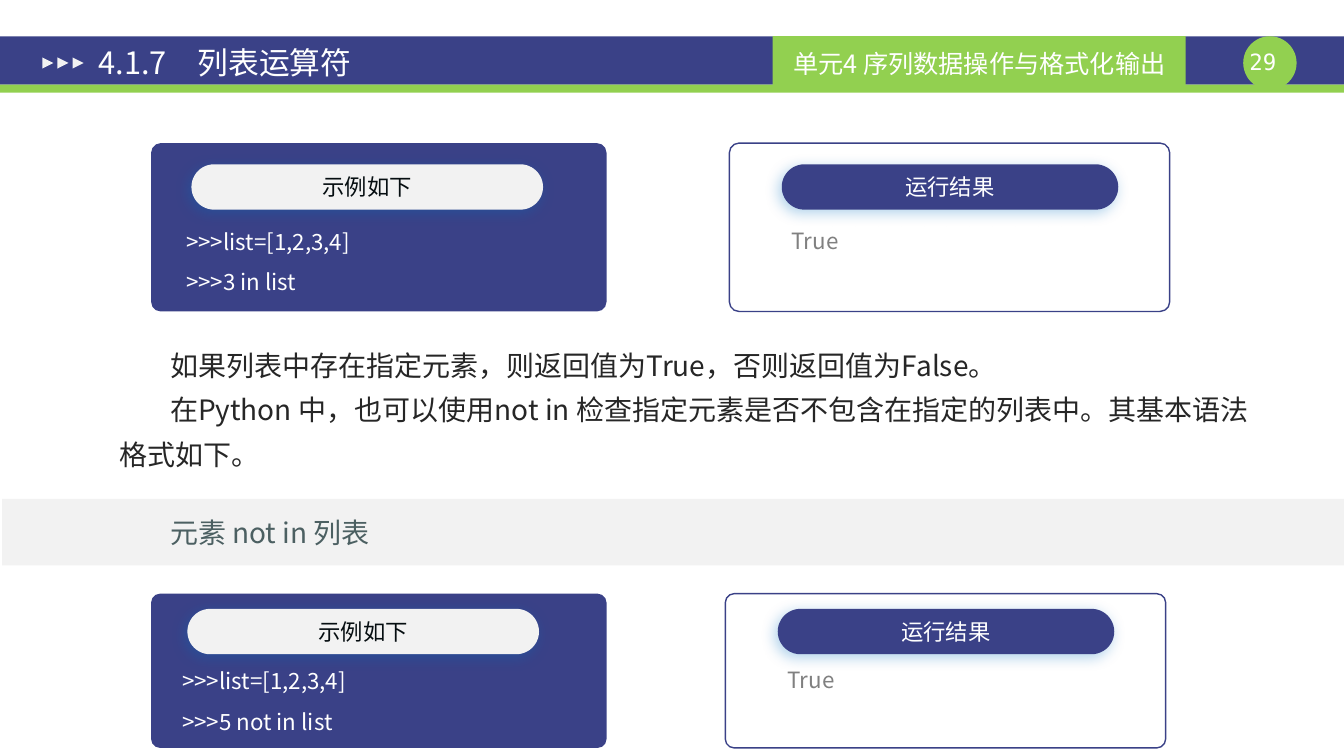
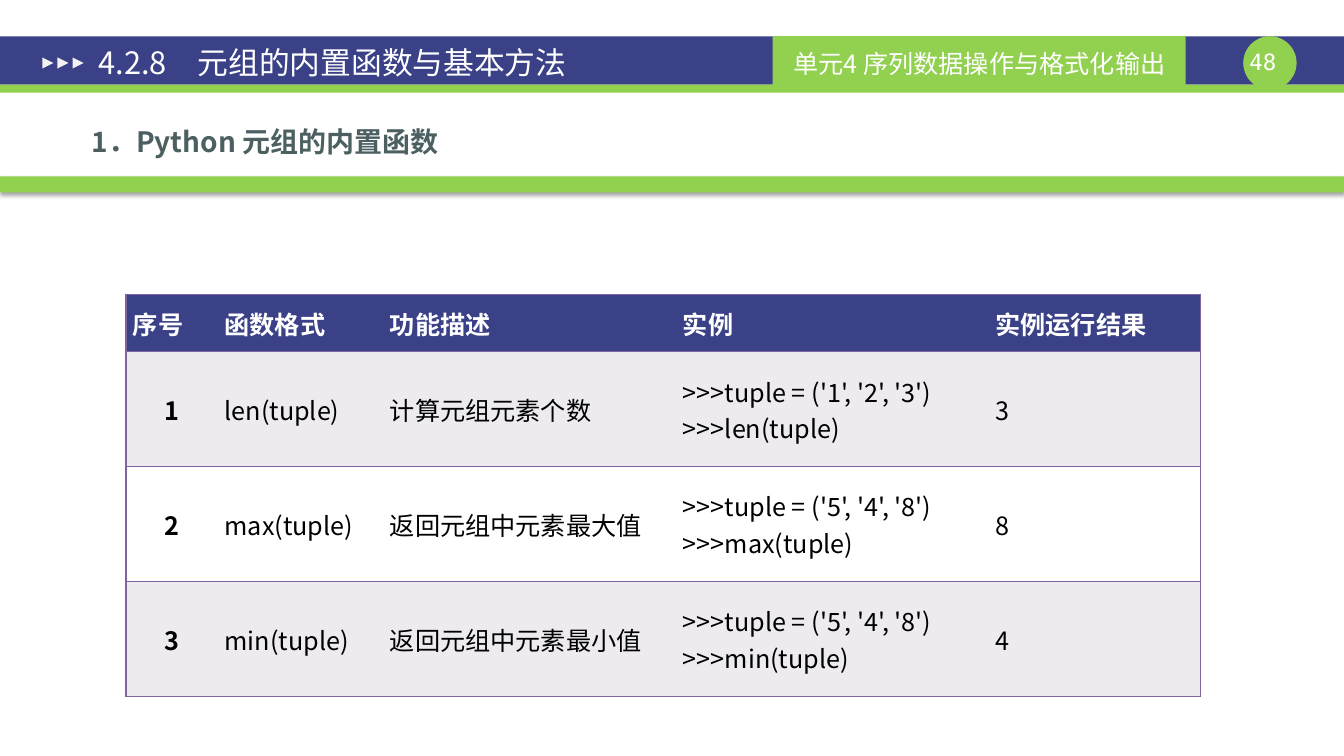
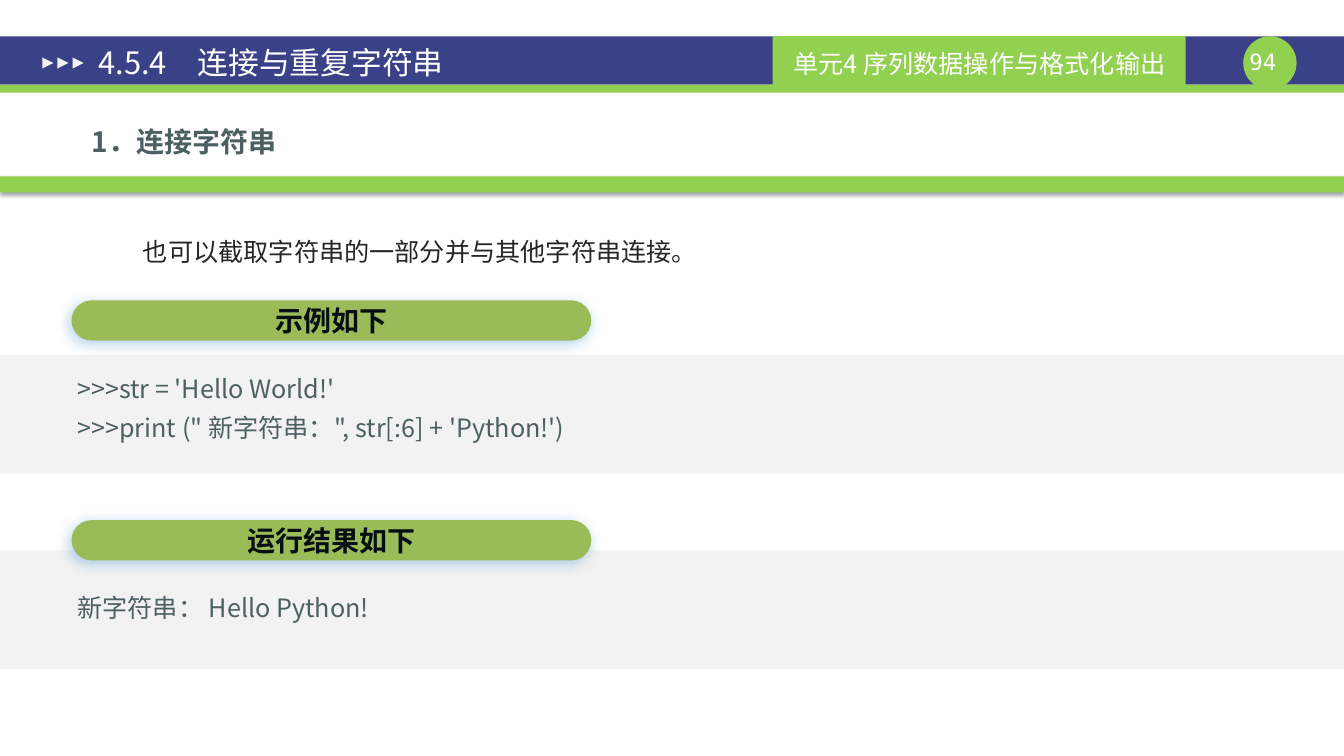
from lxml import etree
from pptx import Presentation, util as u
from pptx.dml.color import RGBColor
from pptx.enum import shapes, text
from pptx.oxml import parse_xml
from pptx.oxml.ns import nsdecls, qn

PX = 9144
WIDTH, HEIGHT = 1334, 750
FONT, NUMBER_FONT = "Noto Sans CJK SC", "DejaVu Sans Mono"
NAVY, GREEN, OLIVE, PALE, WHITE = "3A4187", "92D050", "9BBB59", "F2F2F2", "FFFFFF"
INK, BODY, SLATE, GREY, BLACK = "060E11", "262626", "4C6062", "808080", "000000"
PURPLE, LILAC = "8064A2", "EDEAF0"
GLOW = ("0070C0", 30, 10, 3, 135)
BAR_SHADOW = ("000000", 35, 3.1, 1.8, 90)
PLAIN_TABLE = "{2D5ABB26-0587-4C30-8999-92F81FD0307C}"
SHAPE = shapes.MSO_SHAPE
ALIGN = text.PP_ALIGN

UNIT = "单元4 序列数据操作与格式化输出"

OPERATORS = {
    "number": 29,
    "title": "4.1.7　列表运算符",
    "explanation": [
        "如果列表中存在指定元素，则返回值为True，否则返回值为False。",
        "在Python 中，也可以使用not in 检查指定元素是否不包含在指定的列表中。其基本语法格式如下。",
    ],
    "syntax": "元素 not in 列表",
    "examples": [
        dict(code=[">>>list=[1,2,3,4]", ">>>3 in list"], result="True",
             top=142, height=167, pill_top=163, text_top=208, shift=0),
        dict(code=[">>>list=[1,2,3,4]", ">>>5 not in list"], result="True",
             top=589, height=153, pill_top=604, text_top=644, shift=-4),
    ],
}

FUNCTIONS = {
    "number": 48,
    "title": "4.2.8　元组的内置函数与基本方法",
    "heading": "1．Python 元组的内置函数",
    "columns": [91, 164, 291, 310, 211],
    "row_heights": [57, 114, 114, 114],
    "rows": [
        ("序号", "函数格式", "功能描述", "实例", "实例运行结果"),
        ("1", "len(tuple)", "计算元组元素个数",
         [">>>tuple = ('1', '2', '3')", ">>>len(tuple)"], "3"),
        ("2", "max(tuple)", "返回元组中元素最大值",
         [">>>tuple = ('5', '4', '8')", ">>>max(tuple)"], "8"),
        ("3", "min(tuple)", "返回元组中元素最小值",
         [">>>tuple = ('5', '4', '8')", ">>>min(tuple)"], "4"),
    ],
}

STRINGS = {
    "number": 94,
    "title": "4.5.4　连接与重复字符串",
    "heading": "1．连接字符串",
    "intro": "也可以截取字符串的一部分并与其他字符串连接。",
    "blocks": [
        dict(label="示例如下", pill_top=298, band_top=352, text_top=356,
             lines=[">>>str = 'Hello World!'",
                    ">>>print (\" 新字符串：\", str[:6] + 'Python!')"]),
        dict(label="运行结果如下", pill_top=516, band_top=546, text_top=574,
             lines=["新字符串： Hello Python!"]),
    ],
}


def px(*lengths):
    return [u.Emu(length * PX) for length in lengths]


def rgb(value):
    return RGBColor.from_string(value)


def write(frame, lines, size=16, color=BODY, bold=False, font=FONT, align=ALIGN.LEFT,
          spacing=None, indent=0, before=0, anchor=None, insets=None):
    lines = [lines] if isinstance(lines, str) else lines
    frame.word_wrap = True
    frame.auto_size = text.MSO_AUTO_SIZE.NONE
    if anchor is not None:
        frame.vertical_anchor = anchor
    if insets:
        (frame.margin_left, frame.margin_top,
         frame.margin_right, frame.margin_bottom) = px(*insets)
    for index, line in enumerate(lines):
        fresh = index == 0 and not frame.paragraphs[0].runs
        para = frame.paragraphs[0] if fresh else frame.add_paragraph()
        para.alignment = align
        if spacing:
            para.line_spacing = spacing
        if before and not fresh:
            para.space_before = u.Pt(before)
        if indent:
            properties = para._p.get_or_add_pPr()
            properties.set("marL", "0")
            properties.set("indent", str(indent * PX))
        span = para.add_run()
        span.text = line
        span.font.size = u.Pt(size)
        span.font.bold = bold
        span.font.color.rgb = rgb(color)
        span.font.name = font
        etree.SubElement(span._r.get_or_add_rPr(), qn("a:ea")).set("typeface", font)


def add_text(page, place, lines, **style):
    box = page.shapes.add_textbox(*px(*place))
    write(box.text_frame, lines, **style)
    return box


def add_block(page, place, fill=None, kind=SHAPE.RECTANGLE, line=None, corner=None, shadow=None):
    block = page.shapes.add_shape(kind, *px(*place))
    block.shadow.inherit = False
    if fill:
        block.fill.solid()
        block.fill.fore_color.rgb = rgb(fill)
    else:
        block.fill.background()
    if line:
        block.line.color.rgb = rgb(line)
        block.line.width = u.Pt(1)
    else:
        block.line.fill.background()
    if corner is not None:
        block.adjustments[0] = corner
    if shadow:
        color, alpha, blur, distance, angle = shadow
        effects = block.element.spPr.find(qn("a:effectLst"))
        effects.append(parse_xml(
            f'<a:outerShdw {nsdecls("a")} blurRad="{u.Pt(blur)}" dist="{u.Pt(distance)}" '
            f'dir="{angle * 60000}" algn="ctr" rotWithShape="0"><a:srgbClr val="{color}">'
            f'<a:alpha val="{alpha * 1000}"/></a:srgbClr></a:outerShdw>'))
    return block


def add_pill(page, place, label, fill, color, **style):
    pill = add_block(page, place, fill, SHAPE.ROUNDED_RECTANGLE, corner=0.5, shadow=GLOW)
    write(pill.text_frame, label, color=color, align=ALIGN.CENTER,
          anchor=text.MSO_ANCHOR.MIDDLE, **style)


def add_card(page, place, **look):
    add_block(page, place, kind=SHAPE.ROUNDED_RECTANGLE, corner=0.057, **look)


def add_header(page, layout):
    blocks = [
        add_block(page, (0, 36, WIDTH, 48), NAVY),
        add_block(page, (0, 84, WIDTH, 8), GREEN),
        add_block(page, (1234, 36, 53, 53), GREEN, SHAPE.OVAL),
    ]
    unit = add_block(page, (767, 36, 410, 54), GREEN)
    write(unit.text_frame, UNIT, size=18, color=WHITE, align=ALIGN.CENTER,
          anchor=text.MSO_ANCHOR.MIDDLE)
    blocks.append(unit)
    for index in range(3):
        marker = add_block(page, (42 + 15 * index, 57, 11, 11), PALE, SHAPE.ISOSCELES_TRIANGLE)
        marker.rotation = 90
        blocks.append(marker)
    for block in blocks:
        layout.shapes.element.append(block.element)


def start_page(deck, content):
    layout = deck.slide_layouts[5]
    page = deck.slides.add_slide(layout)
    if len(deck.slides) == 1:
        add_header(page, layout)
    title = page.shapes.title
    title.left, title.top, title.width, title.height = px(85, 40, 720, 44)
    write(title.text_frame, content["title"], size=22, color=WHITE,
          anchor=text.MSO_ANCHOR.MIDDLE, insets=(13, 7, 13, 7))
    add_text(page, (1227, 48, 53, 27), str(content["number"]), color=WHITE,
             font=NUMBER_FONT, align=ALIGN.CENTER, insets=(0, 0, 0, 0))
    if "heading" in content:
        add_text(page, (31, 108, 1248, 50), content["heading"], size=20, color=SLATE,
                 bold=True, spacing=1.32, indent=50)
        add_block(page, (0, 175, WIDTH, 16), GREEN, shadow=BAR_SHADOW)
    return page


def add_example(page, code, result, top, height, pill_top, text_top, shift):
    add_card(page, (150, top, 452, height), fill=NAVY)
    add_card(page, (724 + shift, top, 437, height), line=NAVY)
    add_text(page, (175 + shift, text_top, 431, 86), code, color=WHITE, spacing=1.5)
    add_text(page, (776 + shift, text_top - 1, 376, 46), result, color=GREY, spacing=1.5)
    add_pill(page, (190 + shift, pill_top, 349, 45), "示例如下", PALE, INK)
    add_pill(page, (776 + shift, pill_top, 334, 45), "运行结果", NAVY, WHITE)


def build_operators(deck, content):
    page = start_page(deck, content)
    add_block(page, (2, 495, 1335, 66), PALE)
    box = add_text(page, (109, 330, 1144, 221), content["explanation"], size=20,
                   spacing=1.32, indent=50)
    write(box.text_frame, content["syntax"], size=20, color=SLATE,
          spacing=1.32, indent=50, before=24)
    for example in content["examples"]:
        add_example(page, **example)


def add_borders(cell, sides):
    properties = cell._tc.get_or_add_tcPr()
    for index, side in enumerate(sides):
        properties.insert(index, parse_xml(
            f'<a:ln{side} {nsdecls("a")} w="{u.Pt(1)}"><a:solidFill>'
            f'<a:srgbClr val="{PURPLE}"/></a:solidFill></a:ln{side}>'))


def build_functions(deck, content):
    page = start_page(deck, content)
    rows, columns, heights = content["rows"], content["columns"], content["row_heights"]
    frame = page.shapes.add_table(len(rows), len(columns),
                                  *px(125, 292, sum(columns), sum(heights)))
    table = frame.table
    table._tbl.tblPr.find(qn("a:tableStyleId")).text = PLAIN_TABLE
    for column, width in zip(table.columns, px(*columns)):
        column.width = width
    for row, height in zip(table.rows, px(*heights)):
        row.height = height
    last = len(columns) - 1
    for r, values in enumerate(rows):
        for c, value in enumerate(values):
            cell = table.cell(r, c)
            header = r == 0
            cell.fill.solid()
            cell.fill.fore_color.rgb = rgb(NAVY if header else LILAC if r % 2 else WHITE)
            cell.vertical_anchor = text.MSO_ANCHOR.MIDDLE
            cell.margin_left, cell.margin_right, cell.margin_top, cell.margin_bottom = px(7, 7, 0, 0)
            write(cell.text_frame, value, size=18, color=WHITE if header else BLACK,
                  bold=header or c == 0,
                  align=ALIGN.CENTER if c == 0 and not header else ALIGN.JUSTIFY)
            add_borders(cell, ["L"] * (c == 0) + ["R"] * (c == last) + ["T", "B"])


def build_strings(deck, content):
    page = start_page(deck, content)
    add_text(page, (82, 220, 1151, 46), content["intro"], size=18, spacing=1.32, indent=50)
    for block in content["blocks"]:
        add_block(page, (-1, block["band_top"], 1335, 118), PALE)
        add_text(page, (17, block["text_top"], 1200, 85), block["lines"], size=18,
                 color=SLATE, spacing=1.3, indent=50)
        add_pill(page, (71, block["pill_top"], 516, 40), block["label"], OLIVE, INK,
                 size=20, bold=True)


def main():
    deck = Presentation()
    deck.slide_width, deck.slide_height = px(WIDTH, HEIGHT)
    build_operators(deck, OPERATORS)
    build_functions(deck, FUNCTIONS)
    build_strings(deck, STRINGS)
    deck.save("out.pptx")


if __name__ == "__main__":
    main()
